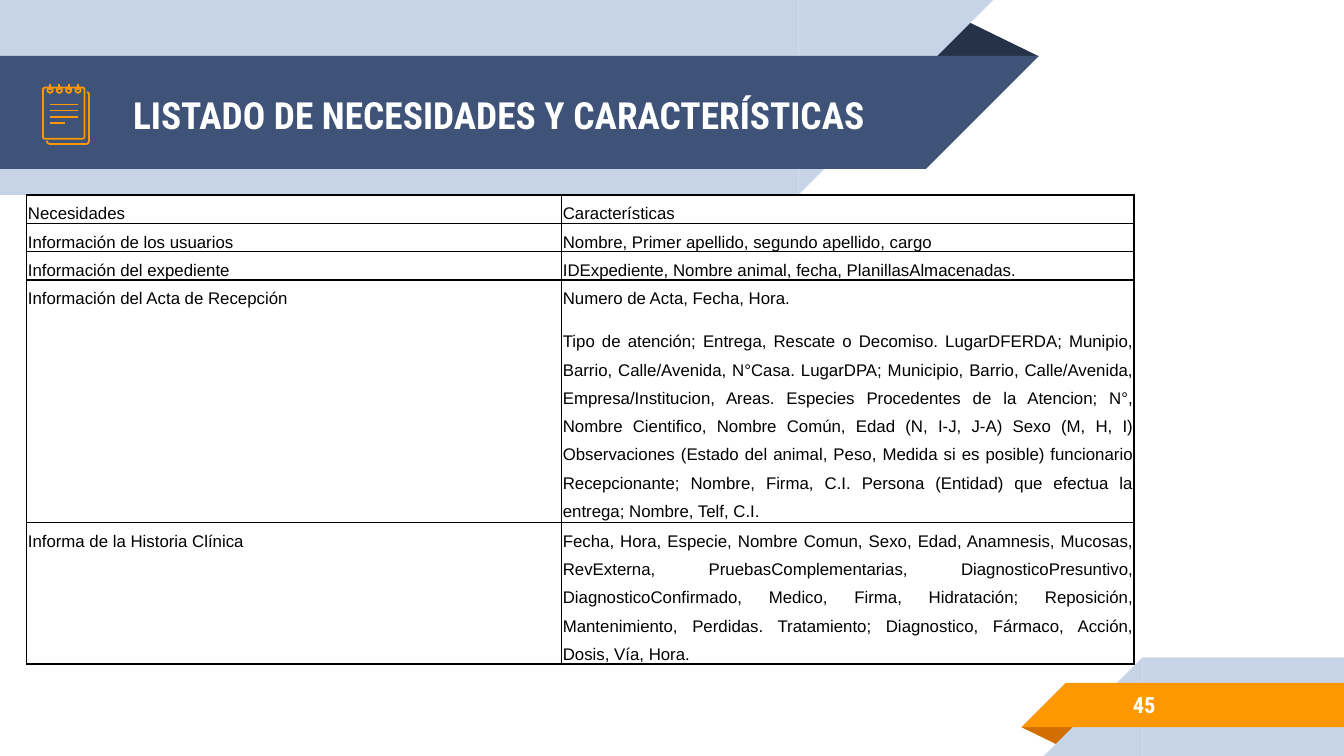
import pptx
import pptx.util
import pptx.dml.color
import pptx.enum.shapes
import pptx.enum.text
import pptx.oxml
import pptx.oxml.ns

Pt = pptx.util.Pt
SHAPE = pptx.enum.shapes.MSO_SHAPE
ALIGN = pptx.enum.text.PP_ALIGN
COLORS = {
    "pale": "C7D3E6",
    "navy": "3F5378",
    "dark": "263248",
    "orange": "FF9800",
    "rust": "D26F00",
    "white": "FFFFFF",
    "black": "000000",
}
HEADING_FONT = "Roboto Condensed"
ICON_LINE = 0.96
COLUMN_WIDTHS = (286.6, 306.7)
ROW_HEIGHTS = (15, 15, 15, 130, 75.6)
ROWS = [
    (["Necesidades"], ["Características"]),
    (["Información de los usuarios"], ["Nombre, Primer apellido, segundo apellido, cargo"]),
    (["Información del expediente"],
     ["IDExpediente, Nombre animal, fecha, PlanillasAlmacenadas."]),
    (["Información del Acta de Recepción"],
     ["Numero de Acta, Fecha, Hora.",
      "Tipo de atención; Entrega, Rescate o Decomiso. LugarDFERDA; Munipio, Barrio, "
      "Calle/Avenida, N°Casa. LugarDPA; Municipio, Barrio, Calle/Avenida, "
      "Empresa/Institucion, Areas. Especies Procedentes de la Atencion; N°, Nombre "
      "Cientifico, Nombre Común, Edad (N, I-J, J-A) Sexo (M, H, I) Observaciones "
      "(Estado del animal, Peso, Medida si es posible) funcionario Recepcionante; "
      "Nombre, Firma, C.I. Persona (Entidad) que efectua la entrega; Nombre, Telf, C.I."]),
    (["Informa de la Historia Clínica"],
     ["Fecha, Hora, Especie, Nombre Comun, Sexo, Edad, Anamnesis, Mucosas, RevExterna, "
      "PruebasComplementarias, DiagnosticoPresuntivo, DiagnosticoConfirmado, Medico, "
      "Firma, Hidratación; Reposición, Mantenimiento, Perdidas. Tratamiento; "
      "Diagnostico, Fármaco, Acción, Dosis, Vía, Hora."]),
]


def rgb(name):
    return pptx.dml.color.RGBColor.from_string(COLORS[name])


def add_filled(slide, kind, box, color, flip=None):
    shape = slide.shapes.add_shape(kind, *map(Pt, box))
    shape.shadow.inherit = False
    shape.fill.solid()
    shape.fill.fore_color.rgb = rgb(color)
    shape.line.fill.background()
    if flip:
        shape._element.spPr.xfrm.set(flip, "1")
    return shape


def add_fold(slide, box, color, rotation=0):
    shape = add_filled(slide, SHAPE.ISOSCELES_TRIANGLE, box, color)
    shape.adjustments[0] = 0.324
    shape.rotation = rotation


def add_top_band(slide, top, width, height, color):
    add_filled(slide, SHAPE.RECTANGLE, (0, top, width, height), color)
    add_filled(slide, SHAPE.RIGHT_TRIANGLE, (width, top, height, height), color, "flipV")


def add_bottom_band(slide, left, top, height, color):
    add_filled(slide, SHAPE.RECTANGLE, (left, top, 720 - left, height), color)
    add_filled(slide, SHAPE.RIGHT_TRIANGLE, (left - height, top, height, height), color, "flipH")


def style_outline(shape):
    shape.shadow.inherit = False
    shape.fill.background()
    shape.line.color.rgb = rgb("orange")
    shape.line.width = Pt(ICON_LINE)


def add_outline(slide, kind, box):
    shape = slide.shapes.add_shape(kind, *map(Pt, box))
    style_outline(shape)
    return shape


def add_stroke(slide, *ends):
    line = slide.shapes.add_connector(
        pptx.enum.shapes.MSO_CONNECTOR.STRAIGHT, *map(Pt, ends))
    line.line.color.rgb = rgb("orange")
    line.line.width = Pt(ICON_LINE)
    line._element.spPr.append(pptx.oxml.parse_xml(
        f"<a:effectLst {pptx.oxml.ns.nsdecls('a')}/>"))


def add_notepad(slide):
    builder = slide.shapes.build_freeform(Pt(25.1), Pt(75.4))
    points = [(25.4, 76.5), (26.5, 77.1), (46.6, 77.1), (47.3, 76.7), (47.7, 75.6),
              (47.7, 50.4), (47.3, 49.6), (46.6, 49.4)]
    builder.add_line_segments([(Pt(x), Pt(y)) for x, y in points], close=False)
    style_outline(builder.convert_to_shape())
    page = add_outline(slide, SHAPE.ROUNDED_RECTANGLE, (23, 46.9, 22.3, 27.4))
    page.adjustments[0] = 0.05
    for index in range(4):
        center = 26.8 + 5 * index
        add_outline(slide, SHAPE.OVAL, (center - 1.4, 46.9, 2.8, 2.8))
        add_stroke(slide, center, 45.2, center, 48.3)
    for index, width in enumerate((15.2, 15.2, 15.2, 7.8)):
        height = 56 + 3.25 * index
        add_stroke(slide, 26.8, height, 26.8 + width, height)


def add_run(paragraph, text, font, size, color, bold=False):
    run = paragraph.add_run()
    run.text = text
    run.font.name = font
    run.font.size = Pt(size)
    run.font.bold = bold
    run.font.color.rgb = rgb(color)


def write_heading(shape, box, text, size):
    shape.left, shape.top, shape.width, shape.height = map(Pt, box)
    frame = shape.text_frame
    frame.word_wrap = True
    frame.auto_size = pptx.enum.text.MSO_AUTO_SIZE.NONE
    frame.vertical_anchor = pptx.enum.text.MSO_ANCHOR.MIDDLE
    frame.margin_left = frame.margin_right = Pt(7.2)
    frame.margin_top = frame.margin_bottom = Pt(7.2)
    paragraph = frame.paragraphs[0]
    paragraph.alignment = ALIGN.LEFT
    add_run(paragraph, text, HEADING_FONT, size, "white", True)


def add_borders(cell):
    properties = cell._tc.get_or_add_tcPr()
    for side in ("lnL", "lnR", "lnT", "lnB"):
        properties.append(pptx.oxml.parse_xml(
            f'<a:{side} {pptx.oxml.ns.nsdecls("a")} w="{Pt(1)}"><a:solidFill>'
            f'<a:srgbClr val="{COLORS["black"]}"/></a:solidFill></a:{side}>'))


def fill_cell(cell, texts):
    add_borders(cell)
    cell.fill.solid()
    cell.fill.fore_color.rgb = rgb("white")
    cell.margin_left = cell.margin_right = Pt(0.75)
    cell.margin_top = cell.margin_bottom = 0
    for index, text in enumerate(texts):
        frame = cell.text_frame
        paragraph = frame.add_paragraph() if index else frame.paragraphs[0]
        paragraph.alignment = ALIGN.JUSTIFY
        paragraph.line_spacing = 1.5
        paragraph.space_after = Pt(8)
        add_run(paragraph, text, "Arial", 9, "black")


def add_needs_table(slide):
    table = slide.shapes.add_table(
        len(ROWS), len(COLUMN_WIDTHS), Pt(14.2), Pt(104.5),
        Pt(sum(COLUMN_WIDTHS)), Pt(sum(ROW_HEIGHTS))).table
    table.first_row = False
    table.horz_banding = False
    for column, width in zip(table.columns, COLUMN_WIDTHS):
        column.width = Pt(width)
    for row, height, contents in zip(table.rows, ROW_HEIGHTS, ROWS):
        row.height = Pt(height)
        for cell, texts in zip(row.cells, contents):
            fill_cell(cell, texts)


def main():
    presentation = pptx.Presentation()
    presentation.slide_width = Pt(720)
    presentation.slide_height = Pt(405)
    slide = presentation.slides.add_slide(presentation.slide_layouts[5])
    add_fold(slide, (495.4, 10, 61.2, 20.2), "dark")
    add_top_band(slide, 0, 427.7, 104.4, "pale")
    add_top_band(slide, 30, 496.1, 60.5, "navy")
    add_fold(slide, (547.2, 389.6, 31, 10.2), "rust", 180)
    add_bottom_band(slide, 612, 352.2, 52.8, "pale")
    add_bottom_band(slide, 571, 365.8, 23.8, "orange")
    add_notepad(slide)
    title = slide.shapes.title
    slide.shapes._spTree.append(title._element)
    write_heading(title, (64.1, 31, 414, 60.5), "LISTADO DE NECESIDADES Y CARACTERÍSTICAS", 20)
    number = slide.shapes.add_textbox(0, 0, 0, 0)
    write_heading(number, (599.8, 365, 117.4, 25.2), "45", 12)
    add_needs_table(slide)
    presentation.save("out.pptx")


if __name__ == "__main__":
    main()
